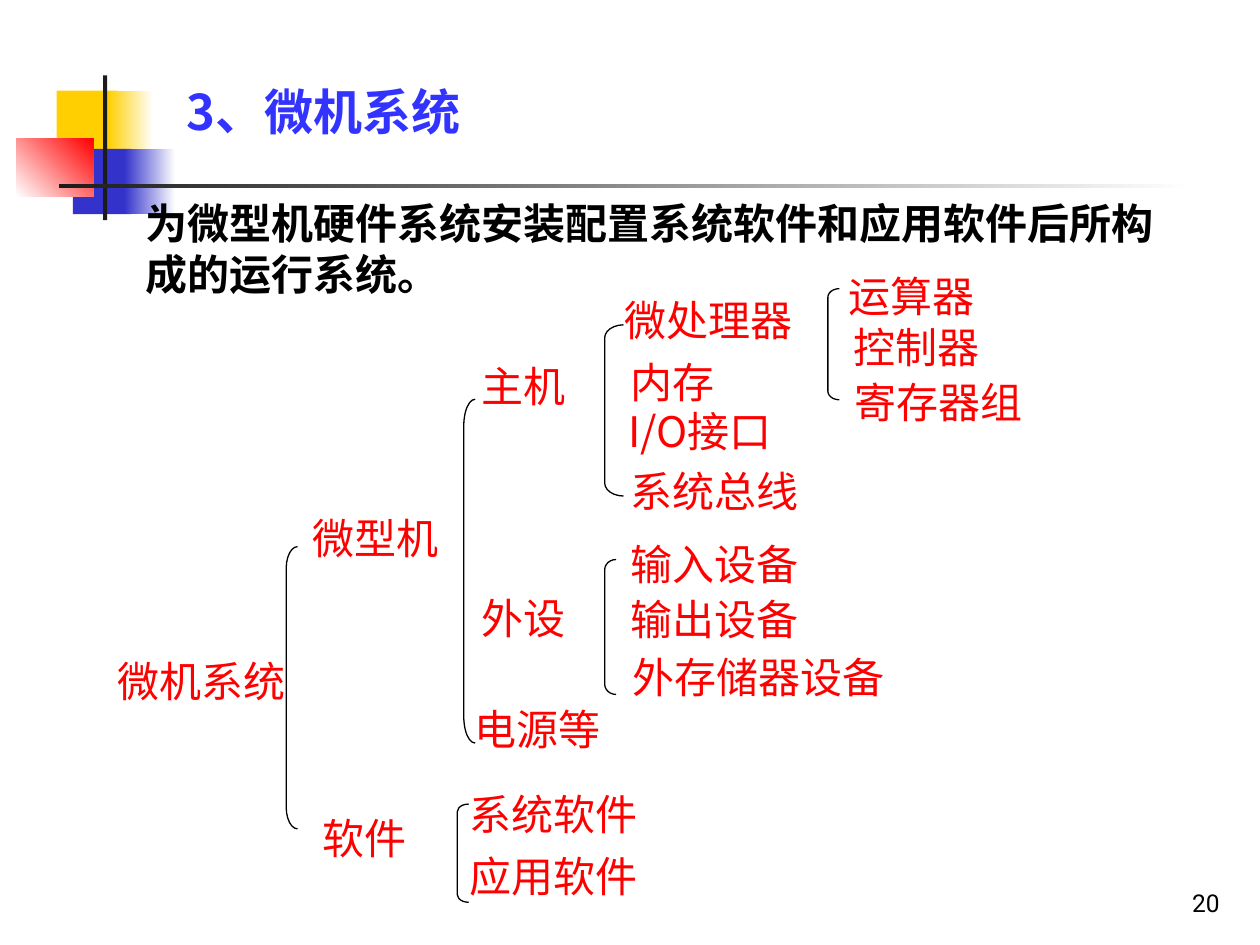
from dataclasses import dataclass

from lxml import etree
from pptx import Presentation
from pptx.dml.color import RGBColor
from pptx.enum.shapes import MSO_SHAPE
from pptx.enum.text import MSO_ANCHOR, MSO_AUTO_SIZE, PP_ALIGN
from pptx.oxml.ns import qn
from pptx.util import Cm, Pt

RECTANGLE, LEFT_BRACKET = MSO_SHAPE.RECTANGLE, MSO_SHAPE.LEFT_BRACKET
LEFT, CENTER, RIGHT = PP_ALIGN.LEFT, PP_ALIGN.CENTER, PP_ALIGN.RIGHT
MIDDLE, BOTTOM = MSO_ANCHOR.MIDDLE, MSO_ANCHOR.BOTTOM
NO_AUTOFIT = MSO_AUTO_SIZE.NONE


@dataclass(frozen=True)
class Theme:
    font: str = "Noto Sans CJK SC"
    number_font: str = "Roboto"
    title_size: int = 28
    text_size: int = 24
    number_size: int = 14
    line_spacing: int = 29
    title: str = "3333FF"
    text: str = "000000"
    label: str = "FF0000"
    yellow: str = "FFCF01"
    blue: str = "3333CC"
    red: str = "FF0000"
    dark: str = "1C1C1C"
    white: str = "FFFFFF"


class SlideBuilder:
    """Holds the theme and the current slide."""

    def __init__(self, slide, theme):
        self.slide = slide
        self.theme = theme

    @staticmethod
    def place(shape, left, top, width, height):
        shape.left, shape.top = Cm(left), Cm(top)
        shape.width, shape.height = Cm(width), Cm(height)

    def set_text(self, shape, text, size, color, bold=False, align=LEFT,
                 anchor=MIDDLE, wrap=True, font=None):
        frame = shape.text_frame
        frame.text = text
        frame.auto_size = NO_AUTOFIT
        frame.word_wrap = wrap
        frame.vertical_anchor = anchor
        paragraph = frame.paragraphs[0]
        paragraph.alignment = align
        paragraph.space_before = Pt(0)
        run = paragraph.runs[0]
        run.font.name = font or self.theme.font
        run.font.size = Pt(size)
        run.font.bold = bold
        run.font.color.rgb = RGBColor.from_string(color)
        east_asian = etree.SubElement(run._r.get_or_add_rPr(), qn("a:ea"))
        east_asian.set("typeface", self.theme.font)
        return paragraph

    def placeholder(self, shape, box, text, size, color):
        self.place(shape, *box)
        # Bring the placeholder in front of the decoration
        shape.element.getparent().append(shape.element)
        return self.set_text(shape, text, size, color, bold=True)

    def title(self, box, text):
        self.placeholder(self.slide.shapes.title, box, text,
                         self.theme.title_size, self.theme.title)

    def body(self, box, text):
        paragraph = self.placeholder(self.slide.placeholders[1], box, text,
                                     self.theme.text_size, self.theme.text)
        paragraph.line_spacing = Pt(self.theme.line_spacing)
        properties = paragraph._p.get_or_add_pPr()
        properties.set("marL", "0")
        properties.set("indent", "0")
        etree.SubElement(properties, qn("a:buNone"))

    def text_box(self, box, text, size, color, **style):
        shape = self.slide.shapes.add_textbox(*map(Cm, box))
        self.set_text(shape, text, size, color, **style)

    def label(self, text, left, top, width, align=CENTER):
        self.text_box((left, top, width, 1.27), text, self.theme.text_size,
                      self.theme.label, align=align, wrap=align == LEFT)

    def block(self, box, start, end=None, angle=0):
        """Rectangle with a plain fill, or a gradient if an end is given."""
        shape = self.slide.shapes.add_shape(RECTANGLE, *map(Cm, box))
        shape.shadow.inherit = False
        shape.line.fill.background()
        if end is None:
            shape.fill.solid()
            shape.fill.fore_color.rgb = RGBColor.from_string(start)
            return
        shape.fill.gradient()
        shape.fill.gradient_angle = angle
        for stop, position, color in zip(shape.fill.gradient_stops, (0, 1), (start, end)):
            stop.position = position
            stop.color.rgb = RGBColor.from_string(color)

    def bracket(self, left, top, height, width=0.23):
        shape = self.slide.shapes.add_shape(
            LEFT_BRACKET, Cm(left), Cm(top), Cm(width), Cm(height))
        shape.adjustments[0] = 0.077 * height / width
        shape.shadow.inherit = False
        shape.fill.background()
        shape.line.color.rgb = RGBColor.from_string(self.theme.text)
        shape.line.width = Pt(0.75)


def main():
    presentation = Presentation()
    presentation.slide_width, presentation.slide_height = Cm(25.4), Cm(19.05)
    slide = presentation.slides.add_slide(presentation.slide_layouts[1])
    theme = Theme()
    builder = SlideBuilder(slide, theme)

    # Corner decoration and title rule
    builder.block((1.14, 1.83, 1.22, 1.32), theme.yellow)
    builder.block((2.18, 1.83, 0.91, 1.32), theme.yellow, theme.white)
    builder.block((1.47, 3, 1.17, 1.32), theme.blue)
    builder.block((2.51, 3, 1.02, 1.32), theme.blue, theme.white)
    builder.block((0.33, 2.79, 1.55, 1.17), theme.white, theme.red, angle=45)
    builder.block((2.08, 1.52, 0.08, 2.92), theme.dark)
    builder.block((1.19, 3.71, 22.86, 0.08), theme.dark, theme.white)

    # Title, definition and page number
    builder.title((3.51, 1.52, 7.34, 1.45), "3、微机系统")
    builder.body((2.67, 3.84, 20.9, 2.31),
                 "为微型机硬件系统安装配置系统软件和应用软件后所构成的运行系统。")
    builder.text_box((19.56, 17.35, 5.28, 1.27), "20", theme.number_size, theme.text,
                     align=RIGHT, anchor=BOTTOM, font=theme.number_font)

    # Tree labels, from the root to the leaves: text, left, top, width
    for label in (
        ("微机系统", 2.11, 13.08, 3.89),
        ("微型机", 6.05, 10.21, 3.05),
        ("软件", 6.25, 16.26, 2.21),
        ("主机", 9.45, 7.14, 2.21),
        ("外设", 9.45, 11.81, 2.21),
        ("电源等", 9.32, 14.05, 3.05),
        ("系统软件", 9.22, 15.77, 3.89),
        ("应用软件", 9.22, 17.02, 3.89),
        ("微处理器", 12.34, 5.82, 3.89),
        ("内存", 12.47, 7.06, 3.15, LEFT),
        ("I/O接口", 12.42, 8.05, 5.44, LEFT),
        ("系统总线", 12.47, 9.25, 5.36, LEFT),
        ("输入设备", 12.47, 10.72, 5.59, LEFT),
        ("输出设备", 12.47, 11.84, 5.59, LEFT),
        ("外存储器设备", 12.5, 13, 5.82, LEFT),
        ("运算器", 16.31, 5.33, 4.14),
        ("控制器", 16.76, 6.35, 3.43),
        ("寄存器组", 16.97, 7.47, 5.05, LEFT),
    ):
        builder.label(*label)

    # Brackets: left, top, height and, for the wider one, width
    for bracket in (
        (5.77, 11.02, 5.69),
        (9.35, 8.05, 6.93),
        (9.22, 16.21, 1.98),
        (12.19, 6.55, 3.45, 0.38),
        (12.19, 11.28, 2.72),
        (16.69, 5.82, 2.24),
    ):
        builder.bracket(*bracket)

    presentation.save("out.pptx")


if __name__ == "__main__":
    main()
